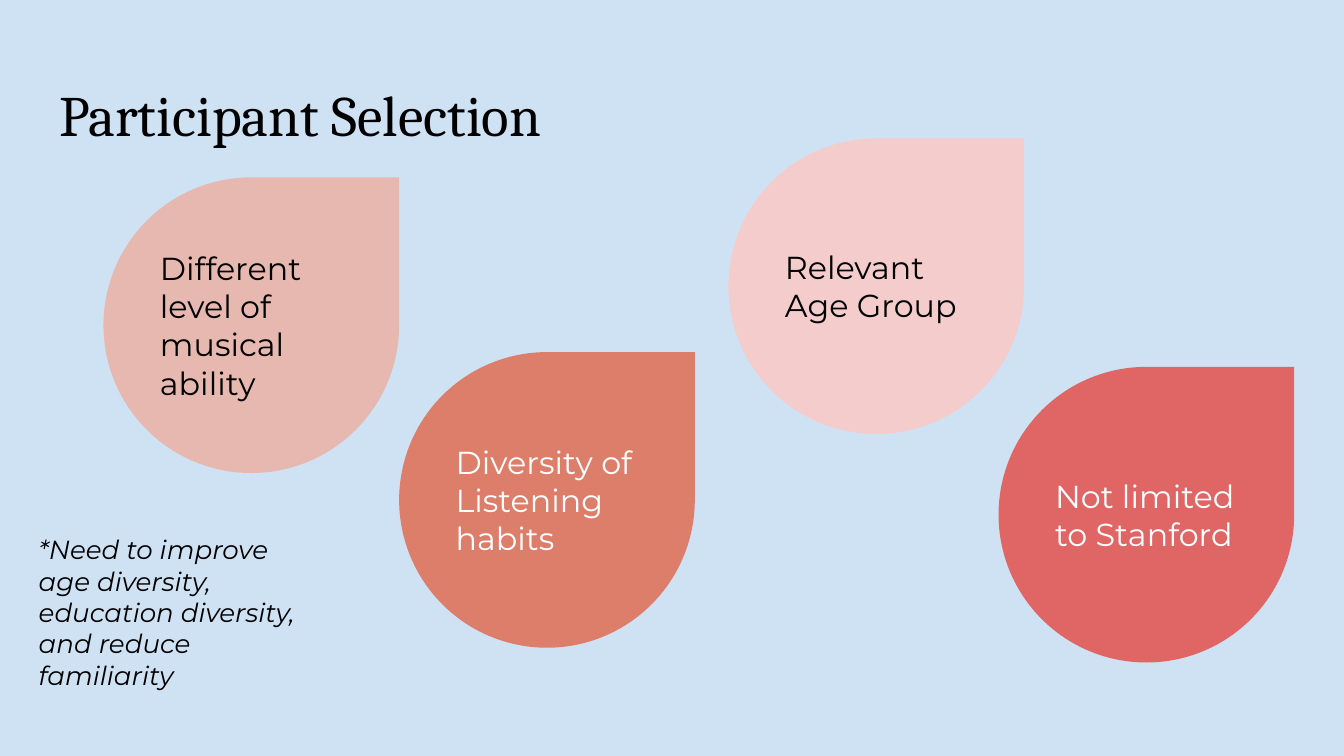
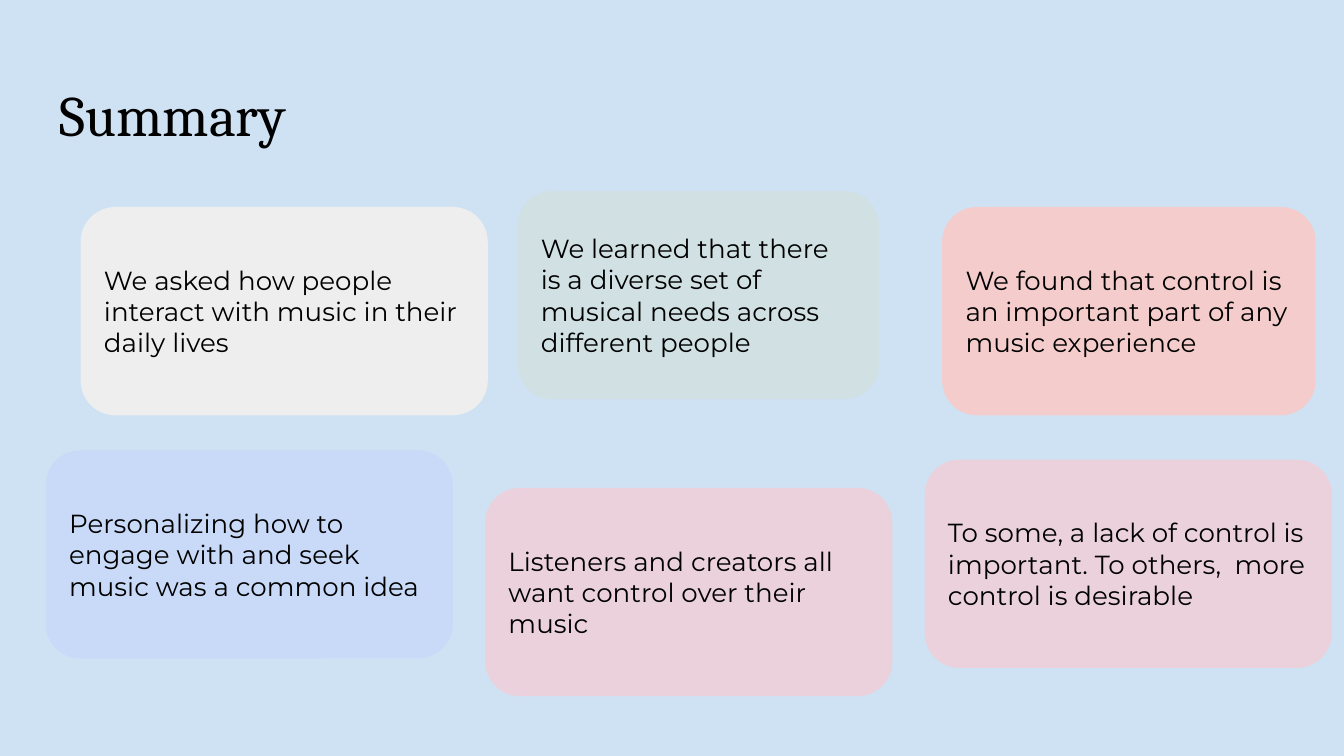
"""Build two slides: participant selection and study summary."""
from pptx import Presentation
from pptx.dml.color import RGBColor
from pptx.enum.shapes import MSO_SHAPE
from pptx.enum.text import MSO_ANCHOR, MSO_AUTO_SIZE, PP_ALIGN
from pptx.util import Inches, Pt

TEARDROP, ROUNDED = MSO_SHAPE.TEAR, MSO_SHAPE.ROUNDED_RECTANGLE
TOP, MIDDLE = MSO_ANCHOR.TOP, MSO_ANCHOR.MIDDLE
FIXED, GROW = MSO_AUTO_SIZE.NONE, MSO_AUTO_SIZE.SHAPE_TO_FIT_TEXT
LEFT = PP_ALIGN.LEFT

COLORS = {
    "sky": "CFE2F3", "black": "000000", "white": "FFFFFF",
    "blush": "E6B8AF", "terracotta": "DD7E6B", "rose": "F4CCCC", "red": "E06666",
    "gray": "EEEEEE", "sage": "D0E0E3", "blue": "C9DAF8", "mauve": "EAD1DC",
}
HEADING, BODY = "Cambria", "Montserrat"
TITLE_ONLY = 5

deck = Presentation()
deck.slide_width, deck.slide_height = Inches(10), Inches(5.625)
column, row = deck.slide_width / 100, deck.slide_height / 56.25


def write(box, text, size=14, font=BODY, color="black", italic=False,
          anchor=MIDDLE, fit=FIXED):
    """Fill a shape with one formatted, left-aligned paragraph."""
    frame = box.text_frame
    frame.word_wrap = True
    frame.auto_size = fit
    frame.vertical_anchor = anchor
    frame.margin_left = frame.margin_right = int(column)
    frame.margin_top = frame.margin_bottom = int(row)
    para = frame.paragraphs[0]
    para.alignment = LEFT
    span = para.add_run()
    span.text = text
    span.font.size = Pt(size)
    span.font.name = font
    span.font.italic = italic
    span.font.color.rgb = RGBColor.from_string(COLORS[color])


def grid(left, top, width, height):
    """Turn grid columns and rows into a position and a size."""
    return int(left * column), int(top * row), int(width * column), int(height * row)


background = deck.slide_master.background.fill
background.solid()
background.fore_color.rgb = RGBColor.from_string(COLORS["sky"])

DROP = 22
CARD_WIDTH, CARD_HEIGHT = 30.3, 15.5
slides = [
    ("Participant Selection", TEARDROP, 1, 17, [
        (7.7, 13.2, DROP, DROP, "blush", "black", "Different level of musical ability"),
        (29.7, 26.2, DROP, DROP, "terracotta", "white", "Diversity of Listening habits"),
        (54.2, 10.3, DROP, DROP, "rose", "black", "Relevant Age Group"),
        (74.3, 27.3, DROP, DROP, "red", "white", "Not limited to Stanford"),
    ]),
    ("Summary", ROUNDED, 0.167, 14, [
        (6, 15.4, CARD_WIDTH, CARD_HEIGHT, "gray", "black",
         "We asked how people interact with music in their daily lives"),
        (38.5, 14.2, 26.9, CARD_HEIGHT, "sage", "black",
         "We learned that there is a diverse set of musical needs across different people"),
        (3.4, 33.5, CARD_WIDTH, CARD_HEIGHT, "blue", "black",
         "Personalizing how to engage with and seek music was a common idea"),
        (36.1, 36.3, CARD_WIDTH, CARD_HEIGHT, "mauve", "black",
         "Listeners and creators all want control over their music"),
        (70.1, 15.4, 27.8, CARD_HEIGHT, "rose", "black",
         "We found that control is an important part of any music experience"),
        (68.8, 34.2, CARD_WIDTH, CARD_HEIGHT, "mauve", "black",
         "To some, a lack of control is important. To others,  more control is desirable"),
    ]),
]

pages = []
for heading, outline, adjustment, size, cards in slides:
    page = deck.slides.add_slide(deck.slide_layouts[TITLE_ONLY])
    pages.append(page)
    title = page.shapes.title
    title.left, title.top, title.width, title.height = grid(3.4, 4.9, 93.2, 6.3)
    write(title, heading, size=30.6, font=HEADING, anchor=TOP)
    for left, top, width, height, fill, color, text in cards:
        card = page.shapes.add_shape(outline, *grid(left, top, width, height))
        card.adjustments[0] = adjustment
        card.shadow.inherit = False
        card.fill.solid()
        card.fill.fore_color.rgb = RGBColor.from_string(COLORS[fill])
        card.line.fill.background()
        write(card, text, size=size, color=color)

note = pages[0].shapes.add_textbox(*grid(1.9, 38.7, 22, 13.8))
write(note, "*Need to improve age diversity, education diversity, and reduce familiarity",
      italic=True, anchor=TOP, fit=GROW)

deck.save("out.pptx")
